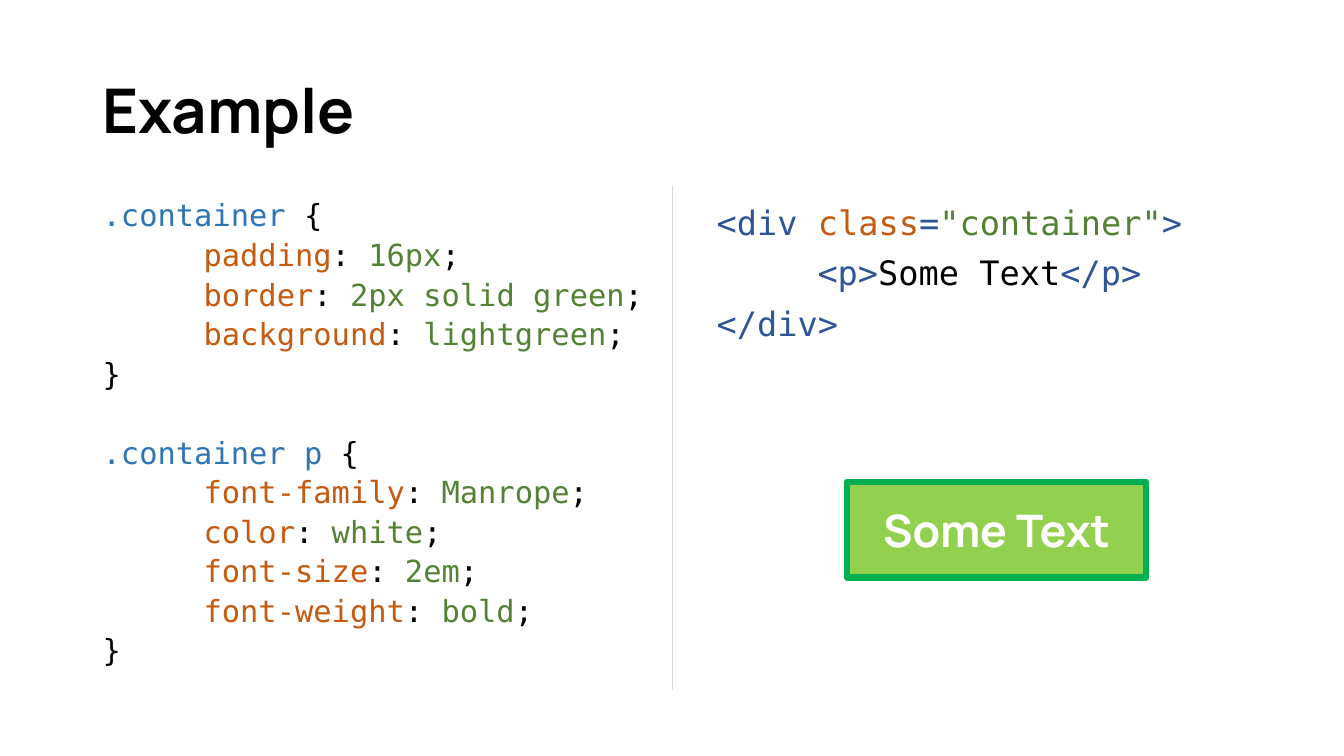
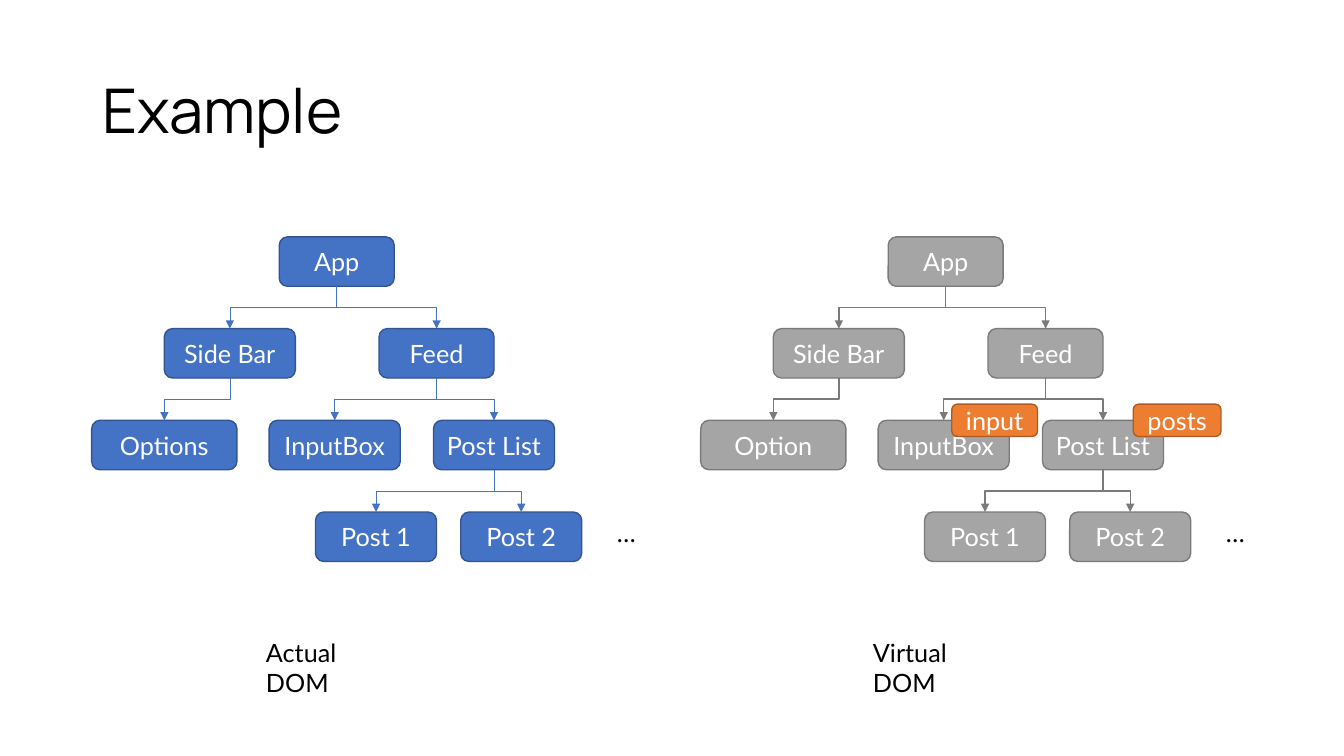
from dataclasses import dataclass

from lxml.etree import SubElement
from pptx import Presentation
from pptx.dml.color import RGBColor
from pptx.enum.shapes import MSO_CONNECTOR, MSO_SHAPE
from pptx.enum.text import MSO_ANCHOR, PP_ALIGN
from pptx.oxml.ns import qn
from pptx.util import Inches, Pt

BLACK = RGBColor(0x00, 0x00, 0x00)
WHITE = RGBColor(0xFF, 0xFF, 0xFF)
DIVIDER = RGBColor(0xD9, 0xD9, 0xD9)
SELECTOR = RGBColor(0x2E, 0x75, 0xB6)
TAG = RGBColor(0x2F, 0x55, 0x97)
NAME = RGBColor(0xC5, 0x5A, 0x11)
VALUE = RGBColor(0x54, 0x82, 0x35)
LIME = RGBColor(0x92, 0xD0, 0x50)
GREEN = RGBColor(0x00, 0xB0, 0x50)
BLUE = RGBColor(0x44, 0x72, 0xC4)
DARK_BLUE = RGBColor(0x32, 0x54, 0x91)
GRAY = RGBColor(0xA5, 0xA5, 0xA5)
DARK_GRAY = RGBColor(0x7A, 0x7A, 0x7A)
ORANGE = RGBColor(0xED, 0x7D, 0x31)
DARK_ORANGE = RGBColor(0xAF, 0x5C, 0x24)

HEADING = "Manrope"
BODY = "Lato"
MONO = "DejaVu Sans Mono"
TREE_TOP, LEVEL_STEP, NODE_HEIGHT = 2.35, 0.91, 0.49
TREE_STEP = 6.04


@dataclass(frozen=True)
class CodeLine:
    tokens: list
    indented: bool = False
    gap_above: float = 10


@dataclass(frozen=True)
class Node:
    label: str
    level: int
    left: float
    width: float
    parent: str = ""


@dataclass(frozen=True)
class BoxStyle:
    fill: RGBColor
    line: RGBColor
    line_width: float = 1
    font: str = BODY
    size: float = 18
    bold: bool = False
    shape: MSO_SHAPE = MSO_SHAPE.ROUNDED_RECTANGLE


@dataclass(frozen=True)
class Tree:
    caption: str
    caption_left: float
    offset: float
    style: BoxStyle
    link_color: RGBColor
    link_width: float
    options_label: str


CSS_RULES = {
    ".container ": {
        "padding": "16px",
        "border": "2px solid green",
        "background": "lightgreen",
    },
    ".container p ": {
        "font-family": "Manrope",
        "color": "white",
        "font-size": "2em",
        "font-weight": "bold",
    },
}
HTML_LINES = [
    CodeLine([("<div ", TAG), ("class", NAME), ("=", TAG), ('"container"', VALUE), (">", TAG)]),
    CodeLine([("<p>", TAG), ("Some Text", BLACK), ("</p>", TAG)], indented=True),
    CodeLine([("</div>", TAG)]),
]
NODES = [
    Node("App", 0, 2.77, 1.14),
    Node("Side Bar", 1, 1.63, 1.3, "App"),
    Node("Feed", 1, 3.76, 1.14, "App"),
    Node("Options", 2, 0.91, 1.44, "Side Bar"),
    Node("InputBox", 2, 2.67, 1.3, "Feed"),
    Node("Post List", 2, 4.3, 1.2, "Feed"),
    Node("Post 1", 3, 3.13, 1.2, "Post List"),
    Node("Post 2", 3, 4.57, 1.2, "Post List"),
]
RESULT = BoxStyle(LIME, GREEN, 4.5, HEADING, 32, True, MSO_SHAPE.RECTANGLE)
BADGE = BoxStyle(ORANGE, DARK_ORANGE)
TREES = [
    Tree("Actual DOM", 2.54, 0, BoxStyle(BLUE, DARK_BLUE), BLUE, 0.5, "Options"),
    Tree("Virtual DOM", 8.56, TREE_STEP, BoxStyle(GRAY, DARK_GRAY), DARK_GRAY, 1, "Option"),
]


def format_run(r, font: str, size: float, color: RGBColor, bold: bool = False) -> None:
    r.font.name = font
    r.font.size = Pt(size)
    r.font.color.rgb = color
    r.font.bold = bold


def add_frame(s, left: float, top: float, width: float, height: float):
    tf = s.shapes.add_textbox(Inches(left), Inches(top), Inches(width), Inches(height)).text_frame
    tf.word_wrap = True
    return tf


def add_label(s, text: str, left: float, top: float, width: float) -> None:
    p = add_frame(s, left, top, width, 0.4).paragraphs[0]
    p.text = text
    format_run(p.runs[0], BODY, 18, BLACK)


def add_title(s, text: str, bold: bool) -> None:
    tf = add_frame(s, 0.92, 0.4, 11.5, 1.45)
    tf.vertical_anchor = MSO_ANCHOR.MIDDLE
    p = tf.paragraphs[0]
    p.text = text
    p.line_spacing = 0.9
    format_run(p.runs[0], HEADING, 44, BLACK, bold)


def add_code(s, lines: list[CodeLine], left: float, size: float, spacing: float) -> None:
    tf = add_frame(s, left, 2, 5.75, 4.76)
    for i, line in enumerate(lines):
        p = tf.add_paragraph() if i else tf.paragraphs[0]
        p.line_spacing = spacing
        p.space_before = Pt(line.gap_above)
        if line.indented:
            p._p.get_or_add_pPr().set("marL", str(Inches(1)))
        for text, color in line.tokens:
            r = p.add_run()
            r.text = text
            format_run(r, MONO, size, color)


def css_lines(rules: dict) -> list[CodeLine]:
    lines = []
    for selector, declarations in rules.items():
        gap = 38.2 if lines else 10
        lines.append(CodeLine([(selector, SELECTOR), ("{", BLACK)], gap_above=gap))
        for name, value in declarations.items():
            tokens = [(name, NAME), (": ", BLACK), (value, VALUE), (";", BLACK)]
            lines.append(CodeLine(tokens, indented=True))
        lines.append(CodeLine([("}", BLACK)]))
    return lines


def add_box(s, text: str, left: float, top: float, width: float, height: float, style: BoxStyle):
    sp = s.shapes.add_shape(style.shape, Inches(left), Inches(top), Inches(width), Inches(height))
    sp.shadow.inherit = False
    sp.fill.solid()
    sp.fill.fore_color.rgb = style.fill
    sp.line.color.rgb = style.line
    sp.line.width = Pt(style.line_width)
    tf = sp.text_frame
    tf.vertical_anchor = MSO_ANCHOR.MIDDLE
    p = tf.paragraphs[0]
    p.text = text
    p.alignment = PP_ALIGN.CENTER
    format_run(p.runs[0], style.font, style.size, WHITE, style.bold)
    return sp


def style_line(line, color: RGBColor, width: float) -> None:
    line.line.color.rgb = color
    line.line.width = Pt(width)
    SubElement(line._element.spPr, qn("a:effectLst"))


def add_link(s, parent, child, color: RGBColor, width: float) -> None:
    x1, y1 = parent.left + parent.width // 2, parent.top + parent.height
    x2, y2 = child.left + child.width // 2, child.top
    link = s.shapes.add_connector(MSO_CONNECTOR.ELBOW, x1, y1, x2, y2)
    link.begin_connect(parent, 2)
    link.end_connect(child, 0)
    link.width, link.height = y2 - y1, abs(x2 - x1)
    link.left = (x1 + x2 - link.width) // 2
    link.top = (y1 + y2 - link.height) // 2
    rightward = x2 > x1
    xfrm = link._element.spPr.find(qn("a:xfrm"))
    xfrm.set("rot", str((270 if rightward else 90) * 60000))
    xfrm.set("flipH", "1" if rightward else "0")
    xfrm.set("flipV", "0")
    style_line(link, color, width)
    SubElement(link.line._get_or_add_ln(), qn("a:tailEnd"), type="triangle")


def add_tree(s, tree: Tree) -> None:
    boxes = {}
    for node in NODES:
        label = tree.options_label if node.label == "Options" else node.label
        top = TREE_TOP + node.level * LEVEL_STEP
        box = add_box(s, label, node.left + tree.offset, top, node.width, NODE_HEIGHT, tree.style)
        boxes[node.label] = box
        if node.parent:
            add_link(s, boxes[node.parent], box, tree.link_color, tree.link_width)
    add_label(s, "…", 6.02 + tree.offset, 5.08, 0.39)
    add_label(s, tree.caption, tree.caption_left, 6.27, 1.3)


def build_code_slide(prs) -> None:
    s = prs.slides.add_slide(prs.slide_layouts[6])
    add_title(s, "Example", bold=True)
    add_code(s, css_lines(CSS_RULES), 0.92, 21.7, 0.7)
    add_box(s, "Some Text", 8.4, 4.78, 2.97, 0.95, RESULT)
    add_code(s, HTML_LINES, 7.01, 24, 0.9)
    x = Inches(6.67)
    divider = s.shapes.add_connector(MSO_CONNECTOR.STRAIGHT, x, Inches(1.85), x, Inches(6.85))
    style_line(divider, DIVIDER, 0.5)


def build_tree_slide(prs) -> None:
    s = prs.slides.add_slide(prs.slide_layouts[6])
    add_title(s, "Example", bold=False)
    for tree in TREES:
        add_tree(s, tree)
    for text, left, width in (("posts", 11.24, 0.87), ("input", 9.44, 0.85)):
        add_box(s, text, left, 4.01, width, 0.32, BADGE)


def main() -> None:
    prs = Presentation()
    prs.slide_width, prs.slide_height = Inches(13.33), Inches(7.5)
    build_code_slide(prs)
    build_tree_slide(prs)
    prs.save("out.pptx")


if __name__ == "__main__":
    main()
